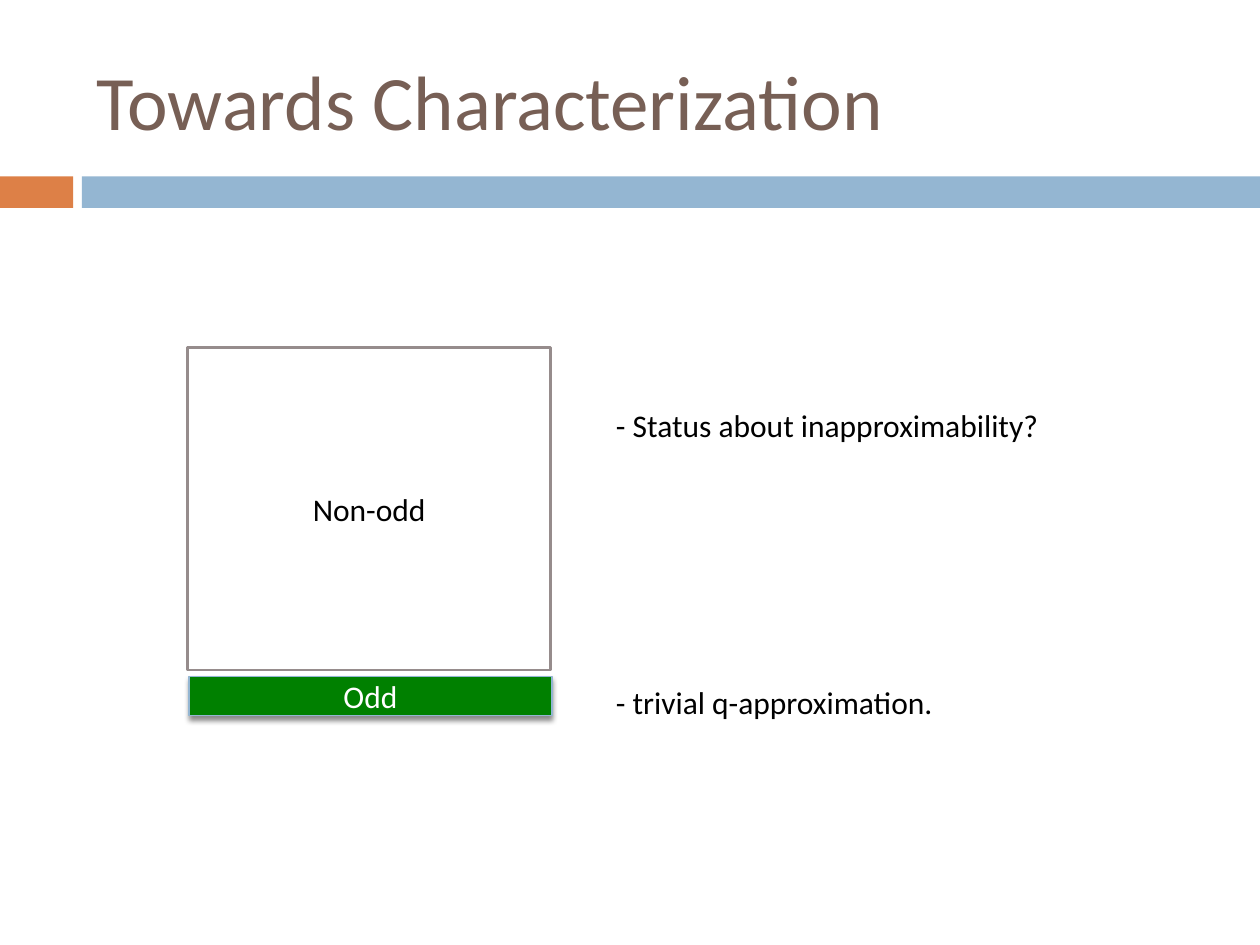
import lxml.etree
import pptx
import pptx.dml.color
import pptx.enum.shapes
import pptx.enum.text
import pptx.oxml.ns
import pptx.util
from pptx.util import Inches

COLORS = {
    "title": "775F55",
    "orange": "DD8047",
    "blue": "94B6D2",
    "gray": "968C8C",
    "green": "008000",
    "white": "FFFFFF",
    "black": "000000",
}
ANCHOR = pptx.enum.text.MSO_ANCHOR
ALIGN = pptx.enum.text.PP_ALIGN


def rgb(name):
    return pptx.dml.color.RGBColor.from_string(COLORS[name])


class SlideBuilder:
    """Holds the text style and the slide being filled."""

    font_name = "Calibri"
    body_size = 18

    def __init__(self, slide):
        self.slide = slide

    def set_text(self, box, words, size, color, align, anchor):
        frame = box.text_frame
        frame.word_wrap = True
        frame.vertical_anchor = anchor
        para = frame.paragraphs[0]
        para.text = words
        para.alignment = align
        para.font.name = self.font_name
        para.font.size = pptx.util.Pt(size)
        para.font.color.rgb = rgb(color)

    def text(self, place, words, size=body_size, color="black", anchor=ANCHOR.TOP):
        box = self.slide.shapes.add_textbox(*map(Inches, place))
        self.set_text(box, words, size, color, ALIGN.LEFT, anchor)

    def rectangle(self, place, fill, line=None, line_width=1):
        box = self.slide.shapes.add_shape(
            pptx.enum.shapes.MSO_SHAPE.RECTANGLE, *map(Inches, place))
        box.shadow.inherit = False
        box.fill.solid()
        box.fill.fore_color.rgb = rgb(fill)
        if line:
            box.line.color.rgb = rgb(line)
            box.line.width = pptx.util.Pt(line_width)
        else:
            box.line.fill.background()
        return box

    def labelled_rectangle(self, place, words, color, fill, line, line_width):
        box = self.rectangle(place, fill, line, line_width)
        self.set_text(box, words, self.body_size, color, ALIGN.CENTER, ANCHOR.MIDDLE)
        return box

    def drop_shadow(self, box, blur, distance, opacity):
        """Cast a black shadow straight down; lengths in points, opacity in percent."""
        qn = pptx.oxml.ns.qn
        effects = box._element.spPr.find(qn("a:effectLst"))
        shadow = lxml.etree.SubElement(
            effects, qn("a:outerShdw"), blurRad=str(pptx.util.Pt(blur)),
            dist=str(pptx.util.Pt(distance)), dir=str(90 * 60000), rotWithShape="0")
        tint = lxml.etree.SubElement(shadow, qn("a:srgbClr"), val=COLORS["black"])
        lxml.etree.SubElement(tint, qn("a:alpha"), val=str(opacity * 1000))


def main():
    deck = pptx.Presentation()
    deck.slide_width, deck.slide_height = Inches(10), Inches(7.5)
    page = SlideBuilder(deck.slides.add_slide(deck.slide_layouts[6]))

    page.rectangle((0, 1.4, 0.58, 0.25), "orange")
    page.rectangle((0.65, 1.4, 9.35, 0.25), "blue")
    page.text((0.67, 0.25, 8.92, 1.08), "Towards Characterization",
              size=44, color="title", anchor=ANCHOR.MIDDLE)

    page.labelled_rectangle((1.49, 2.76, 2.88, 2.56), "Non-odd",
                            "black", "white", "gray", 1.5)
    odd = page.labelled_rectangle((1.5, 5.37, 2.88, 0.31), "Odd",
                                  "white", "green", "blue", 0.79)
    page.drop_shadow(odd, blur=3, distance=2.4, opacity=45)

    page.text((4.79, 3.17, 3.64, 0.4), "- Status about inapproximability?")
    page.text((4.79, 5.37, 3.76, 0.4), "- trivial q-approximation.")

    deck.save("out.pptx")


if __name__ == "__main__":
    main()
